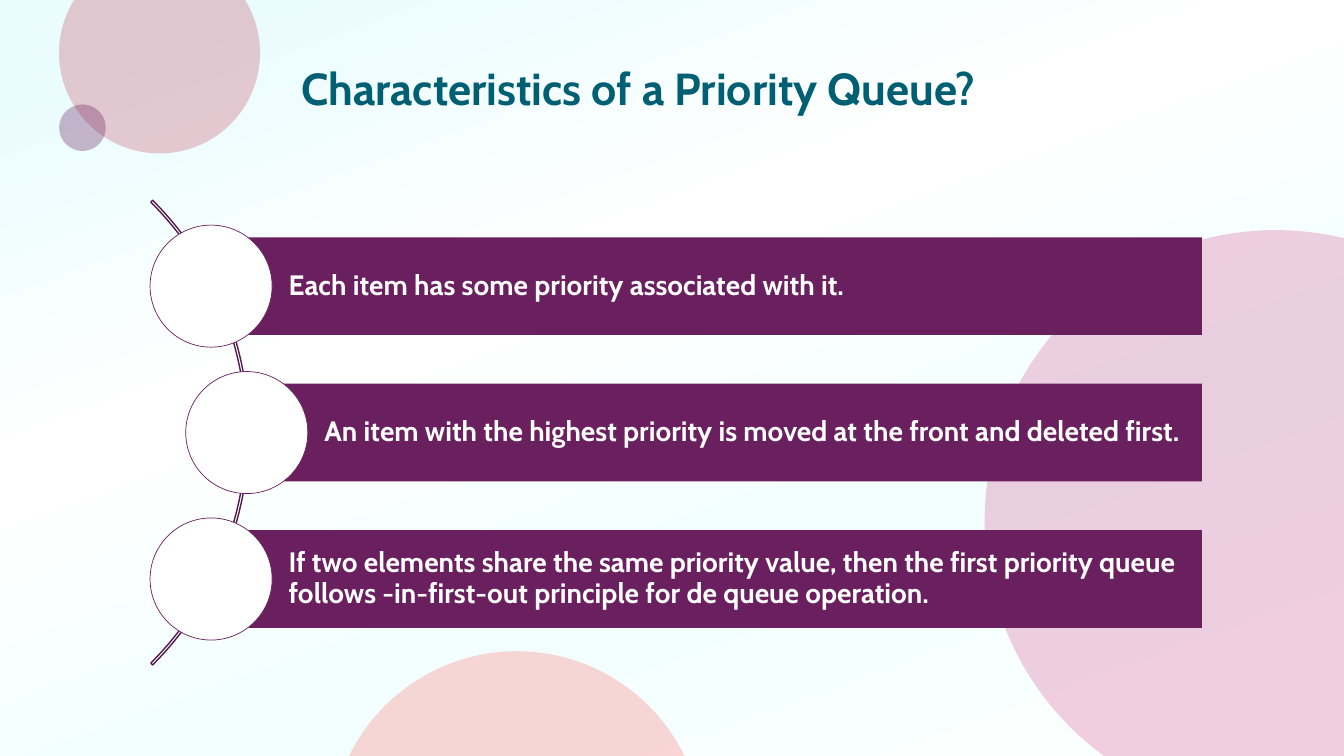
from math import cos, radians, sin

from lxml.etree import SubElement
from pptx import Presentation
from pptx.dml.color import RGBColor
from pptx.enum.shapes import MSO_SHAPE
from pptx.enum.text import MSO_ANCHOR, MSO_AUTO_SIZE, PP_ALIGN
from pptx.oxml.ns import qn
from pptx.util import Pt

TITLE = "Characteristics of a Priority Queue?"
# (text, indent of the bar along the arc)
CHARACTERISTICS = [
    ("Each item has some priority associated with it.", 0),
    ("An item with the highest priority is moved at the front and deleted first.", 25.5),
    ("If two elements share the same priority value, then the first priority queue "
     "follows -in-first-out principle for de queue operation.", 0),
]
FONT = "Cabin"
PURPLE, DARK_PURPLE, TEAL, WHITE = "6A205F", "551A4C", "005F73", "FFFFFF"
BACKGROUND_STOPS = [(7, "EAFCFE"), (38, WHITE), (66, "F3FFFF"), (100, "FDFFFE")]
BACKGROUND_ANGLE = 70

SLIDE_WIDTH, SLIDE_HEIGHT = 960, 540
# centre x, centre y, radius, start and end degrees, slide corners, colour, opacity
CUT_CIRCLES = [
    (911.2, 372.2, 207.8, 126.2, 283.6, [(SLIDE_WIDTH, SLIDE_HEIGHT)], "C40C67", 20),
    (114, 37.8, 71.8, -31.8, 211.8, [], "C74F66", 30),
    (369.2, 598.6, 133.4, 206.1, 333.9, [], "FF7675", 30),
]

BAR_LEFT, BAR_RIGHT, BAR_TOP = 150.8, 858.6, 169.5
BAR_HEIGHT, BAR_PITCH = 69.8, 104.6
CIRCLE_SIZE = 87.2
ARC_CENTER_X, ARC_RADIUS = -56.9, 234.7


def color(hex_value):
    return RGBColor.from_string(hex_value)


def style(shape, fill=None, line=None, line_width=1, opacity=100):
    shape.shadow.inherit = False
    if fill:
        shape.fill.solid()
        shape.fill.fore_color.rgb = color(fill)
        if opacity < 100:
            fill_color = shape.element.spPr.find(qn("a:solidFill"))[0]
            SubElement(fill_color, qn("a:alpha")).set("val", str(opacity * 1000))
    else:
        shape.fill.background()
    if line:
        shape.line.color.rgb = color(line)
        shape.line.width = Pt(line_width)
    else:
        shape.line.fill.background()


def write(shape, text, size, font_color):
    shape.text_frame.text = text
    paragraph = shape.text_frame.paragraphs[0]
    paragraph.alignment = PP_ALIGN.LEFT
    font = paragraph.runs[0].font
    font.name, font.size, font.bold = FONT, Pt(size), True
    font.color.rgb = color(font_color)
    return paragraph


def add_shape(slide, kind, left, top, width, height):
    return slide.shapes.add_shape(kind, Pt(left), Pt(top), Pt(width), Pt(height))


def paint_background(slide):
    slide.background.fill.gradient()
    gradient = slide.element.find(".//" + qn("a:gradFill"))
    stop_list = gradient.find(qn("a:gsLst"))
    for stop in list(stop_list):
        stop_list.remove(stop)
    for position, hex_value in BACKGROUND_STOPS:
        stop = SubElement(stop_list, qn("a:gs"), pos=str(position * 1000))
        SubElement(stop, qn("a:srgbClr"), val=hex_value)
    gradient.find(qn("a:lin")).set("ang", str(BACKGROUND_ANGLE * 60000))


def add_cut_circle(slide, center_x, center_y, radius, start, end, corners, fill, opacity):
    """Draw the part of a circle that lies on the slide."""
    quarters = [angle for angle in range(0, 360, 90) if start < angle < end]
    points = [(center_x + radius * cos(radians(angle)),
               center_y + radius * sin(radians(angle)))
              for angle in [start, *quarters, end]] + corners
    outline = [(Pt(x), Pt(y)) for x, y in points]
    builder = slide.shapes.build_freeform(*outline[0])
    builder.add_line_segments(outline[1:], close=True)
    shape = builder.convert_to_shape()

    # The straight segments along the circle give way to one true arc.
    outline_path = shape.element.find(".//" + qn("a:path"))
    for segment in outline_path.findall(qn("a:lnTo"))[:len(quarters) + 1]:
        outline_path.remove(segment)
    arc = SubElement(outline_path, qn("a:arcTo"))
    arc.set("wR", str(Pt(radius)))
    arc.set("hR", str(Pt(radius)))
    arc.set("stAng", str(round(start % 360 * 60000)))
    arc.set("swAng", str(round((end - start) * 60000)))
    outline_path.insert(1, arc)
    style(shape, fill, opacity=opacity)


def add_title(slide):
    title = slide.shapes.title
    title.left, title.top, title.width, title.height = Pt(208), Pt(39.6), Pt(795), Pt(165.6)
    frame = title.text_frame
    frame.vertical_anchor = MSO_ANCHOR.TOP
    frame.auto_size = MSO_AUTO_SIZE.NONE
    write(title, TITLE, 32, TEAL)


def add_arc(slide):
    center_y = BAR_TOP + BAR_PITCH + BAR_HEIGHT / 2
    arc = add_shape(slide, MSO_SHAPE.BLOCK_ARC, ARC_CENTER_X - ARC_RADIUS,
                    center_y - ARC_RADIUS, 2 * ARC_RADIUS, 2 * ARC_RADIUS)
    for index, value in enumerate((189, 27, 0.004)):
        arc.adjustments[index] = value
    style(arc, line=DARK_PURPLE)


def add_characteristic(slide, index, text, indent):
    left, top = BAR_LEFT + indent, BAR_TOP + index * BAR_PITCH
    bar = add_shape(slide, MSO_SHAPE.RECTANGLE, left, top, BAR_RIGHT - left, BAR_HEIGHT)
    style(bar, PURPLE)
    frame = bar.text_frame
    frame.word_wrap = True
    frame.vertical_anchor = MSO_ANCHOR.MIDDLE
    frame.margin_left = Pt(55.4)
    frame.margin_top = frame.margin_right = frame.margin_bottom = Pt(4)
    write(bar, text, 20, WHITE).line_spacing = 0.9

    circle = add_shape(slide, MSO_SHAPE.OVAL, left - CIRCLE_SIZE / 2,
                       top + (BAR_HEIGHT - CIRCLE_SIZE) / 2, CIRCLE_SIZE, CIRCLE_SIZE)
    style(circle, WHITE, PURPLE, 0.5)


def main():
    presentation = Presentation()
    presentation.slide_width, presentation.slide_height = Pt(SLIDE_WIDTH), Pt(SLIDE_HEIGHT)
    slide = presentation.slides.add_slide(presentation.slide_layouts[5])
    paint_background(slide)
    for circle in CUT_CIRCLES:
        add_cut_circle(slide, *circle)
    small_circle = add_shape(slide, MSO_SHAPE.OVAL, 42.3, 74.6, 33.2, 33.2)
    style(small_circle, PURPLE, opacity=33)
    add_title(slide)
    add_arc(slide)
    for index, (text, indent) in enumerate(CHARACTERISTICS):
        add_characteristic(slide, index, text, indent)
    presentation.save("out.pptx")


if __name__ == "__main__":
    main()
